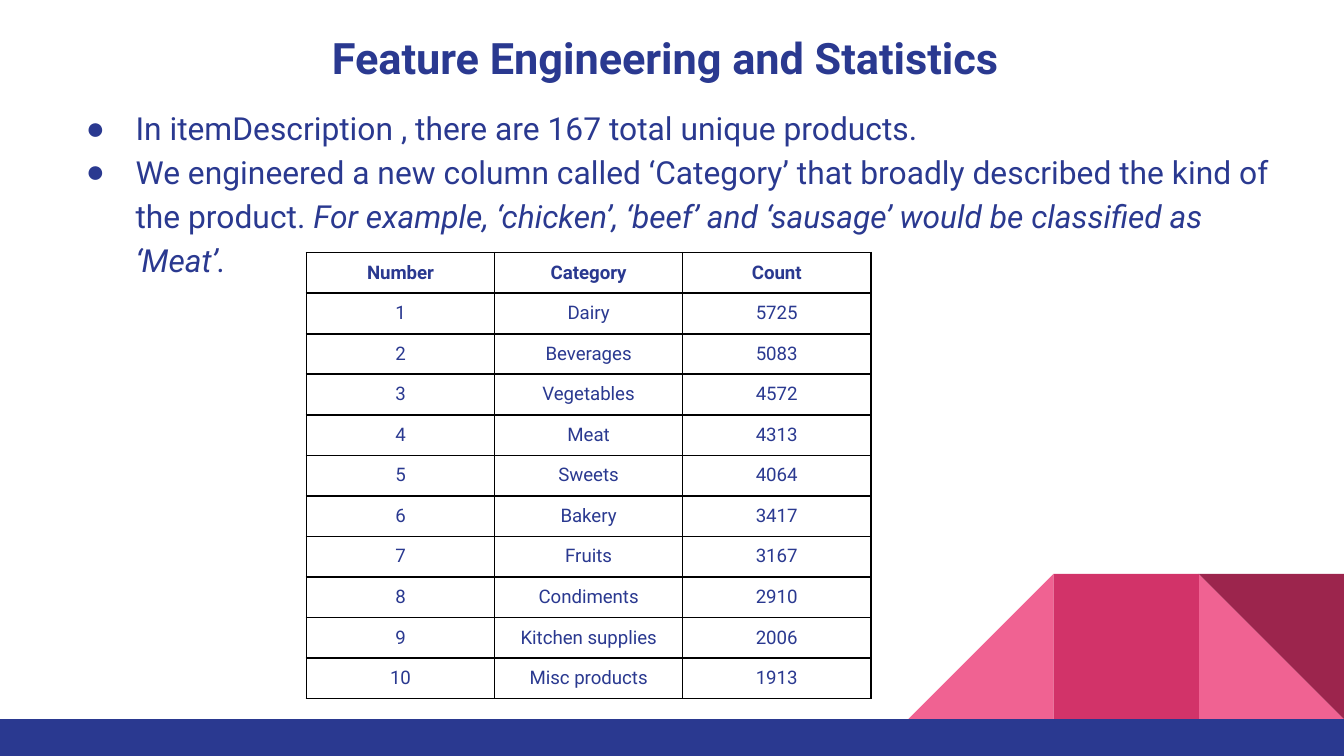
from lxml import etree
from pptx import Presentation
from pptx.dml.color import RGBColor
from pptx.enum.shapes import MSO_SHAPE
from pptx.enum.text import MSO_ANCHOR, MSO_AUTO_SIZE, PP_ALIGN
from pptx.oxml.ns import qn
from pptx.util import Inches, Pt

CENTER = PP_ALIGN.CENTER
TOP = MSO_ANCHOR.TOP
FIXED = MSO_AUTO_SIZE.NONE
RECT = MSO_SHAPE.RECTANGLE
WEDGE = MSO_SHAPE.RIGHT_TRIANGLE

FONT = "Roboto"
COLORS = {"navy": "2A3990", "pink": "F06292", "rose": "D23369",
          "wine": "9C254D", "black": "000000"}

TITLE = "Feature Engineering and Statistics"
POINTS = [
    [("In itemDescription , there are 167 total unique products.", False)],
    [("We engineered a new column called ‘Category’ that broadly described "
      "the kind of the product. ", False),
     ("For example, ‘chicken’, ‘beef’ and ‘sausage’ would be classified "
      "as ‘Meat’.", True)],
]
HEADS = ("Number", "Category", "Count")
COUNTS = [("Dairy", 5725), ("Beverages", 5083), ("Vegetables", 4572),
          ("Meat", 4313), ("Sweets", 4064), ("Bakery", 3417),
          ("Fruits", 3167), ("Condiments", 2910),
          ("Kitchen supplies", 2006), ("Misc products", 1913)]

WIDE = 10
HIGH = WIDE * 9 / 16
SIDE, BASE = 1.08, 5.35
TILES = [(WEDGE, 1, "pink", 0, False), (WEDGE, 3, "pink", 0, True),
         (RECT, 2, "rose", 0, False), (WEDGE, 1, "wine", 180, False)]


def color(name):
    return RGBColor.from_string(COLORS[name])


def add_run(para, text, size, bold=False, slant=False):
    run = para.add_run()
    run.text = text
    font = run.font
    font.name, font.size = FONT, Pt(size)
    font.bold, font.italic = bold, slant
    font.color.rgb = color("navy")


def add_block(slide, kind, box, name):
    shape = slide.shapes.add_shape(kind, *map(Inches, box))
    shape.shadow.inherit = False
    shape.fill.solid()
    shape.fill.fore_color.rgb = color(name)
    shape.line.fill.background()
    return shape


def set_frame(shape):
    frame = shape.text_frame
    frame.word_wrap = True
    frame.auto_size = FIXED
    frame.vertical_anchor = TOP
    frame.margin_left = frame.margin_right = Inches(0.1)
    frame.margin_top = frame.margin_bottom = Inches(0.1)
    return frame


def add_bullet(para):
    props = para._p.get_or_add_pPr()
    props.set("marL", str(Inches(0.5)))
    props.set("indent", str(Inches(-0.37)))
    tint = etree.SubElement(props, qn("a:buClr"))
    etree.SubElement(tint, qn("a:srgbClr"), val=COLORS["navy"])
    etree.SubElement(props, qn("a:buFont"), typeface="Arial")
    etree.SubElement(props, qn("a:buChar"), char="●")


def add_border(cell):
    props = cell._tc.get_or_add_tcPr()
    for side in ("lnL", "lnR", "lnT", "lnB"):
        line = etree.SubElement(props, qn("a:" + side), w=str(Pt(1)))
        fill = etree.SubElement(line, qn("a:solidFill"))
        etree.SubElement(fill, qn("a:srgbClr"), val=COLORS["black"])


def add_decor(slide):
    for kind, step, name, turn, flip in TILES:
        box = (WIDE - step * SIDE, BASE - SIDE, SIDE, SIDE)
        tile = add_block(slide, kind, box, name)
        tile.rotation = turn
        if flip:
            tile._element.spPr.get_or_add_xfrm().set("flipH", "1")
    add_block(slide, RECT, (0, BASE, WIDE, HIGH - BASE), "navy")


def add_title(slide):
    title = slide.shapes.title
    title.left, title.top = Inches(0.29), Inches(0.13)
    title.width, title.height = Inches(9.32), Inches(0.63)
    para = set_frame(title).paragraphs[0]
    para.alignment = CENTER
    add_run(para, TITLE, 23.2, bold=True)


def add_body(slide):
    box = slide.shapes.add_textbox(*map(Inches, (0.41, 0.67, 9.32, 3.74)))
    frame = set_frame(box)
    for i, point in enumerate(POINTS):
        para = frame.add_paragraph() if i else frame.paragraphs[0]
        para.line_spacing = 1.15
        add_bullet(para)
        for text, slant in point:
            add_run(para, text, 17, slant=slant)


def add_grid(slide):
    rows = [HEADS] + [(n, *pair) for n, pair in enumerate(COUNTS, 1)]
    wide, high = 1.4, 0.3
    box = (2.28, 1.88, wide * len(HEADS), high * len(rows))
    table = slide.shapes.add_table(len(rows), len(HEADS),
                                   *map(Inches, box)).table
    table.first_row = table.horz_banding = False
    for r, row in enumerate(rows):
        for c, value in enumerate(row):
            cell = table.cell(r, c)
            cell.margin_left = cell.margin_right = Inches(0.07)
            cell.margin_top = cell.margin_bottom = Inches(0.07)
            add_border(cell)
            cell.fill.background()
            para = cell.text_frame.paragraphs[0]
            para.alignment = CENTER
            add_run(para, str(value), 10, bold=r == 0)


def main():
    deck = Presentation()
    deck.slide_width, deck.slide_height = Inches(WIDE), Inches(HIGH)
    slide = deck.slides.add_slide(deck.slide_layouts[5])
    add_decor(slide)
    add_title(slide)
    add_body(slide)
    add_grid(slide)
    deck.save("out.pptx")


if __name__ == "__main__":
    main()
